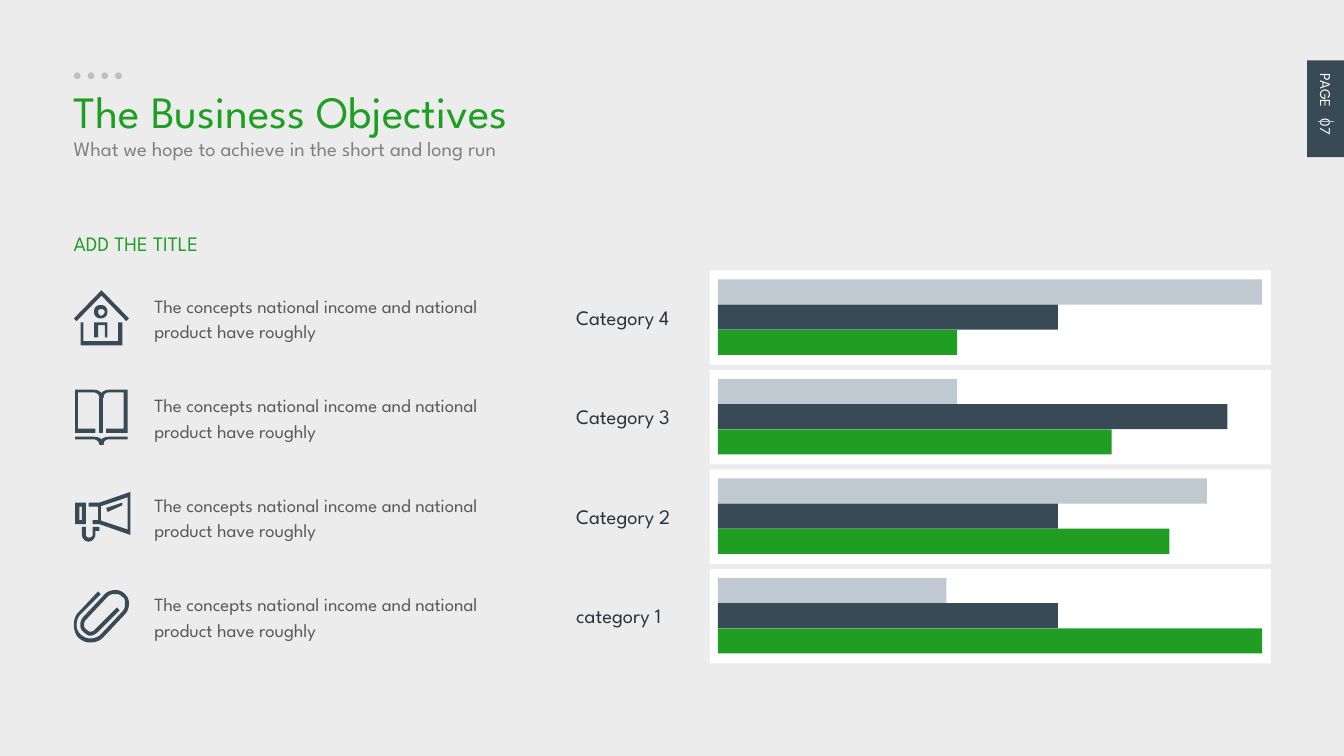
from lxml import etree
from pptx import Presentation
from pptx.dml.color import RGBColor
from pptx.enum import shapes, text
from pptx.oxml import ns
from pptx.util import Pt

FONT = "League Spartan"
GREEN, SLATE, STEEL, INK = "1F9E23", "394A57", "697E92", "28333C"
WHITE, SILVER, DOT = "FFFFFF", "D9D9D9", "BFBFBF"
ICON_UNIT = 0.72  # points per step of the icon grid

# Outlines of closed contours: M start, L corners, C cubic curves.
HOUSE = [
    "M 36 56 L 5 56 5 39 7 39 7 53 33 53 33 39 36 39",
    "M 39 38 L 20.5 19 2 38 0 36 20.5 15 41 36",
    "M 25 50 L 23 50 23 41 18 41 18 50 15 50 15 39 25 39",
    "M 20 36 C 17 36 15 34 15 31 15 28 17 26 20 26 23 26 25 28 25 31 25 34 23 36 20 36 "
    "M 20 29 C 19 29 18 30 18 31 18 32 19 34 20 34 22 34 23 32 23 31 23 30 22 29 20 29",
]
BOOK = [
    "M 19 21 L 22 21 22 47 19 47",
    "M 22 56 L 19 56 C 19 54 17 52 15 52 L 1 52 1 50 15 50 C 19 50 22 52 22 56",
    "M 22 56 L 19 56 C 19 52 22 50 26 50 L 40 50 40 52 26 52 C 23 52 22 54 22 56",
    "M 16 47 L 1 47 1 15 15 15 C 19 15 22 18 22 21 L 19 21 C 19 19 17 17 15 17 "
    "L 3 17 3 44 16 44",
    "M 40 47 L 24 47 24 44 37 44 37 17 26 17 C 23 17 22 19 22 21 L 19 21 "
    "C 19 18 22 15 26 15 L 40 15",
]
MEGAPHONE = [
    "M 20 41 L 14 41 14 38 18 38 18 28 11 28 11 25 20 25",
    "M 42 49 L 19 41 19 38 40 45 40 21 19 28 19 25 42 17",
    "M 25 32 L 24 29 36 25 36 27",
    "M 9 41 L 1 41 1 25 9 25 M 4 38 L 6 38 6 28 4 28",
    "M 11 54 C 8 54 6 51 6 49 L 6 43 9 43 9 49 C 9 50 10 51 11 51 13 51 14 50 14 49 "
    "L 14 43 19 43 19 46 16 46 16 49 C 16 51 14 54 11 54",
]
PAPERCLIP = [
    "M 12 55 C 9 55 6 54 3 51 1 49 0 45 0 42 0 38 1 35 3 33 L 18 17 20 19 5 34 "
    "C 3 36 2 39 2 42 2 45 3 47 5 49 7 51 10 52 12 52 15 52 18 51 20 49 L 36 32 "
    "C 38 30 38 28 38 26 38 24 38 22 36 21 34 19 33 19 31 19 29 19 27 19 25 21 L 9 38 "
    "C 7 40 7 44 9 45 10 46 11 47 12 47 14 47 15 46 16 45 L 32 29 34 31 18 47 "
    "C 16 49 14 50 12 50 11 50 9 49 7 47 4 45 4 39 7 36 L 23 19 "
    "C 25 17 28 16 31 16 34 16 36 17 38 19 40 21 41 23 41 26 41 29 40 32 38 34 L 22 51 "
    "C 19 54 16 55 12 55",
]

CONCEPT = "The concepts national income and national product have roughly"
# Label, icon, bar lengths in points from top to bottom
ROWS = [
    ("Category 4", HOUSE, (291.6, 182.2, 128.2)),
    ("Category 3", BOOK, (128.2, 272.9, 211)),
    ("Category 2", MEGAPHONE, (262, 182.2, 241.9)),
    ("category 1", PAPERCLIP, (122.4, 182.2, 291.6)),
]


def paint(target, color, alpha=None):
    """Give a fill format one colour, with alpha in percent."""
    target.solid()
    target.fore_color.rgb = RGBColor.from_string(color)
    if alpha is not None:
        element = target._xPr.find(".//" + ns.qn("a:srgbClr"))
        etree.SubElement(element, ns.qn("a:alpha"), val=str(alpha * 1000))


def finish(shape, color, alpha=None):
    shape.shadow.inherit = False
    paint(shape.fill, color, alpha)
    shape.line.fill.background()


def add_block(page, left, top, width, height, color, alpha=None,
              kind=shapes.MSO_SHAPE.RECTANGLE):
    block = page.shapes.add_shape(kind, Pt(left), Pt(top), Pt(width), Pt(height))
    finish(block, color, alpha)
    return block


def write(box, content, size, color, spacing=None):
    frame = box.text_frame
    frame.word_wrap = True
    frame.auto_size = text.MSO_AUTO_SIZE.NONE
    frame.vertical_anchor = text.MSO_ANCHOR.TOP
    para = frame.paragraphs[0]
    para.alignment = text.PP_ALIGN.LEFT
    if spacing:
        para.line_spacing = spacing
    span = para.add_run()
    span.text = content
    span.font.name = FONT
    span.font.size = Pt(size)
    span.font.color.rgb = RGBColor.from_string(color)


def add_text(page, left, top, width, height, content, **style):
    box = page.shapes.add_textbox(Pt(left), Pt(top), Pt(width), Pt(height))
    write(box, content, **style)
    return box


def trace(outline):
    """Turn an outline into contours of points, with curves cut into short lines."""
    contours, command, numbers = [], "M", []
    for token in outline.split():
        if token.isalpha():
            command = token
            if command == "M":
                contours.append([])
            continue
        numbers.append(float(token) * ICON_UNIT)
        if len(numbers) < (6 if command == "C" else 2):
            continue
        points = list(zip(numbers[::2], numbers[1::2]))
        if command == "C":
            nodes = [contours[-1][-1]] + points
            points = []
            for step in range(1, 9):
                t = step / 8
                weights = ((1 - t) ** 3, 3 * t * (1 - t) ** 2, 3 * t * t * (1 - t), t ** 3)
                points.append(tuple(sum(w * node[axis] for w, node in zip(weights, nodes))
                                    for axis in (0, 1)))
        contours[-1].extend(points)
        numbers = []
    return contours


def add_icon(page, left, top, outlines):
    for outline in outlines:
        builder = None
        for contour in trace(outline):
            points = [(Pt(x), Pt(y)) for x, y in contour]
            if builder is None:
                builder = page.shapes.build_freeform(*points[0], scale=1.0)
            else:
                builder.move_to(*points[0])
            builder.add_line_segments(points[1:], close=True)
        finish(builder.convert_to_shape(Pt(left), Pt(top)), SLATE)


def add_heading(page, left, top):
    for index in range(4):
        add_block(page, left + 7.2 + 7.35 * index, top, 3.6, 3.6, DOT,
                  kind=shapes.MSO_SHAPE.OVAL)
    title = page.shapes.title
    title.left, title.top, title.width, title.height = Pt(left), Pt(top + 2.3), Pt(286.6), Pt(36)
    write(title, "The Business Objectives", size=24, color=GREEN)
    add_text(page, left, top + 30.3, 289.4, 21,
             "What we hope to achieve in the short and long run", size=11, color="808080")
    add_text(page, left, top + 81.4, 90, 21, "ADD THE TITLE", size=11, color=GREEN)


def add_row(page, left, top, label, icon, lengths):
    add_icon(page, left, top, icon)
    add_text(page, left + 36, top + 7.9, 218.9, 34.6, CONCEPT,
             size=10, color="595959", spacing=1.14)
    card = add_block(page, left + 340.4, top, 301, 51, WHITE)
    paint(card.line.fill, SILVER, 31)
    card.line.width = Pt(0.25)
    for index, (length, color, alpha) in enumerate(
            zip(lengths, (STEEL, SLATE, GREEN), (42, None, None))):
        add_block(page, left + 345, top + 5 + 13.5 * index, length, 13.5, color, alpha)
    add_text(page, left + 262, top + 15.1, 75.6, 21, label, size=11, color=INK)


def add_page_tab(page, left, top, width, height):
    add_block(page, left, top, width, height, SLATE)
    long, short = height, 17.3
    box = add_text(page, left + (width - long) / 2, top + (height - short) / 2, long, short,
                   "PAGE\t07", size=8, color=WHITE)
    box.rotation = 90
    tabs = etree.SubElement(box.text_frame.paragraphs[0]._p.get_or_add_pPr(), ns.qn("a:tabLst"))
    etree.SubElement(tabs, ns.qn("a:tab"), pos=str(Pt(24)), algn="l")
    for color in (INK, DOT):
        rule = page.shapes.add_connector(shapes.MSO_CONNECTOR.STRAIGHT, Pt(left + 5.8),
                                         Pt(top + 32.4), Pt(left + 14.4), Pt(top + 32.4))
        paint(rule.line.fill, color)
        rule.line.width = Pt(0.25)
        etree.SubElement(rule._element.spPr, ns.qn("a:effectLst"))


def main():
    deck = Presentation()
    deck.slide_width, deck.slide_height = Pt(720), Pt(405)
    page = deck.slides.add_slide(deck.slide_layouts[5])
    paint(page.background.fill, "ECECEC")
    add_heading(page, 32.4, 38.8)
    for index, row in enumerate(ROWS):
        add_row(page, 39.6, 144.7 + 53.3 * index, *row)
    add_page_tab(page, 700.2, 32.4, 19.8, 51.8)
    deck.save("out.pptx")


if __name__ == "__main__":
    main()
